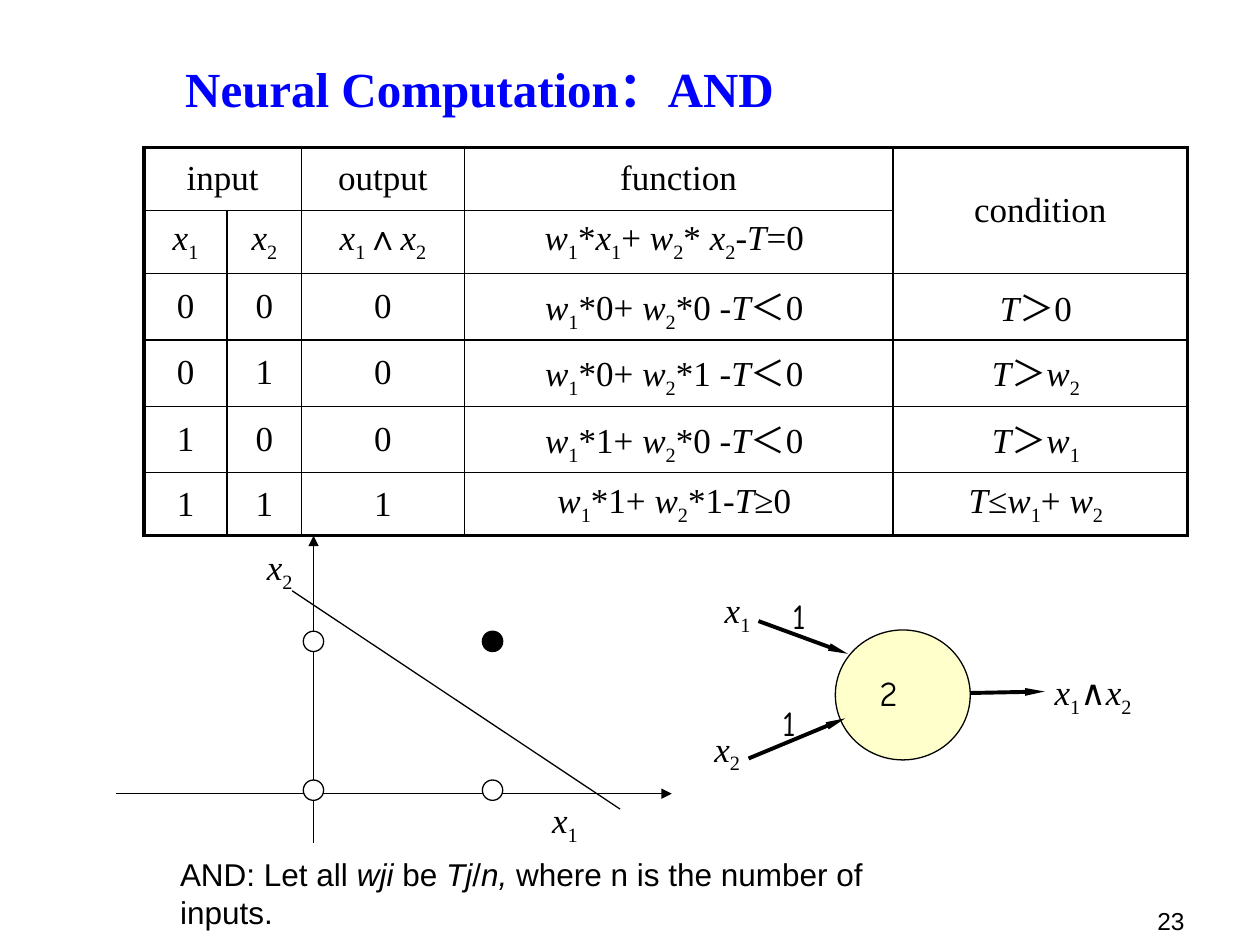
"""Build a slide on the AND function as a threshold neuron."""
import itertools

import pptx
import pptx.dml.color
import pptx.enum.shapes
import pptx.enum.text
import pptx.oxml
import pptx.oxml.ns
import pptx.oxml.xmlchemy
import pptx.util

Cm, Pt = pptx.util.Cm, pptx.util.Pt
ALIGN = pptx.enum.text.PP_ALIGN
MIDDLE = pptx.enum.text.MSO_ANCHOR.MIDDLE
OVAL = pptx.enum.shapes.MSO_SHAPE.OVAL
STRAIGHT = pptx.enum.shapes.MSO_CONNECTOR.STRAIGHT
SERIF, HAND, SANS = "Times New Roman", "Comic Neue", "Arial"
BLACK, WHITE, BLUE, CREAM = "000000", "FFFFFF", "0000FF", "FFFFCC"

TITLE = "Neural Computation：AND"
COLS = [1.68, 1.5, 3.28, 8.64, 5.94]
ROW = 1.27
HEADS = ["input", "", "output", "function", "condition"]
ROWS = [
    ["x1", "x2", "x1∧x2", "w1*x1+ w2* x2-T=0 ", ""],
    ["0", "0", "0", "w1*0+ w2*0 -T＜0 ", "T＞0 "],
    ["0", "1", "0", "w1*0+ w2*1 -T＜0 ", "T＞w2 "],
    ["1", "0", "0", "w1*1+ w2*0 -T＜0 ", "T＞w1 "],
    ["1", "1", "1", "w1*1+ w2*1-T≥0 ", "T≤w1+ w2 "],
]
SPLIT = (5.89, 11.91, 12.5, 16.31)
AXES = [(2.34, 16, 13.54, 16), (6.32, 16.99, 6.32, 10.8)]
DOT = 0.41
DOTS = [(9.93, 15.93, WHITE), (6.32, 15.93, WHITE),
        (6.32, 12.93, WHITE), (9.93, 12.93, BLACK)]
NEURON = (16.84, 12.7, 2.72, 2.62)
ARROWS = [(15.29, 12.52, 17.09, 13.18), (15.09, 15.29, 17.04, 14.48),
          (19.56, 13.97, 21.06, 13.94)]
NAMES = [("x1", 11.13, 16.1), ("x2", 5.38, 11),
         ("x1", 14.61, 11.86), ("x2", 14.4, 14.66)]
WEIGHTS = [("2", 17.48, 13.41), ("1", 15.72, 11.86), ("1", 15.52, 14.02)]
NOTE = [("AND: Let all ", ""), ("wji ", "italic"), ("be ", ""),
        ("Tj", "italic"), ("/", ""), ("n, ", "italic"),
        ("where n is the number of inputs.", "")]


def color(code):
    return pptx.dml.color.RGBColor.from_string(code)


def cut(text):
    """Split a formula into runs: letters italic, digits after letters low."""
    def kind(pair):
        last, char = pair
        if char.isalpha():
            return "italic"
        return "low" if char.isdigit() and last.isalpha() else ""

    pairs = zip(" " + text, text)
    return [("".join(char for _, char in group), key)
            for key, group in itertools.groupby(pairs, kind)]


def write(frame, runs, size=20, face=SERIF, tint=BLACK, bold=False, align=ALIGN.LEFT):
    para = frame.paragraphs[0]
    para.alignment = align
    for text, kind in runs:
        run = para.add_run()
        run.text = text
        if kind == "italic":
            run.font.italic = True
        elif kind == "low":
            run._r.get_or_add_rPr().set("baseline", "-25000")
    for part in (para, *para.runs):
        part.font.name, part.font.size, part.font.bold = face, Pt(size), bold
        part.font.color.rgb = color(tint)
    return para


def label(slide, box, runs, inset=True, wrap=True, **look):
    frame = slide.shapes.add_textbox(*map(Cm, box)).text_frame
    frame.word_wrap = wrap
    if not inset:
        frame.margin_left = frame.margin_right = 0
        frame.margin_top = frame.margin_bottom = 0
    return write(frame, runs, **look)


def oval(slide, box, fill):
    shape = slide.shapes.add_shape(OVAL, *map(Cm, box))
    shape.shadow.inherit = False
    shape.fill.solid()
    shape.fill.fore_color.rgb = color(fill)
    shape.line.color.rgb = color(BLACK)
    shape.line.width = Pt(0.75)


def line(slide, ends, width=0.75, head=None):
    link = slide.shapes.add_connector(STRAIGHT, *map(Cm, ends))
    link.line.color.rgb = color(BLACK)
    link.line.width = Pt(width)
    if head:
        tail = pptx.oxml.xmlchemy.OxmlElement("a:tailEnd")
        for key, value in zip(("type", "w", "len"), ("triangle", *head)):
            tail.set(key, value)
        link.line._get_or_add_ln().append(tail)
    link._element.spPr.append(pptx.oxml.xmlchemy.OxmlElement("a:effectLst"))


def border(cell, sides):
    for side, width in sides.items():
        cell._tc.get_or_add_tcPr().append(pptx.oxml.parse_xml(
            f'<a:ln{side} {pptx.oxml.ns.nsdecls("a")} w="{Pt(width)}"><a:solidFill>'
            f'<a:srgbClr val="{BLACK}"/></a:solidFill></a:ln{side}>'))


def grid(slide):
    rows = [[[(head, "")] for head in HEADS]]
    rows += [[cut(text) for text in row] for row in ROWS]
    tall, wide = len(rows), len(COLS)
    table = slide.shapes.add_table(tall, wide, Cm(2.9), Cm(2.97),
                                   Cm(sum(COLS)), Cm(ROW * tall)).table
    table.first_row = table.horz_banding = False
    for col, width in zip(table.columns, COLS):
        col.width = Cm(width)
    table.cell(0, 0).merge(table.cell(0, 1))
    table.cell(0, 4).merge(table.cell(1, 4))
    for r, c in itertools.product(range(tall), range(wide)):
        cell = table.cell(r, c)
        edges = {"L": c == 0, "R": c == wide - 1, "T": r == 0, "B": r == tall - 1}
        border(cell, {side: 2.25 if edge else 1 for side, edge in edges.items()})
        cell.fill.background()
        cell.vertical_anchor = MIDDLE
        if not cell.is_spanned:
            write(cell.text_frame, rows[r][c], align=ALIGN.CENTER)


def main():
    deck = pptx.Presentation()
    deck.slide_width, deck.slide_height = Cm(25.4), Cm(19.05)
    slide = deck.slides.add_slide(deck.slide_layouts[5])
    title = slide.shapes.title
    title.left, title.top, title.width, title.height = map(Cm, (3.48, 0.71, 16.03, 2.11))
    title.text_frame.vertical_anchor = MIDDLE
    write(title.text_frame, [(TITLE, "")], size=28, tint=BLUE, bold=True)
    grid(slide)

    line(slide, SPLIT)
    for ends in AXES:
        line(slide, ends, head=("med", "med"))
    for x, y, fill in DOTS:
        oval(slide, (x - DOT / 2, y - DOT / 2, DOT, DOT), fill)
    oval(slide, NEURON, CREAM)
    for ends in ARROWS:
        line(slide, ends, width=2.25, head=("sm", "lg"))

    for text, x, y in NAMES:
        label(slide, (x, y, 1.55, 0.89), cut(text), inset=False)
    for text, x, y in WEIGHTS:
        label(slide, (x, y, 1.7, 1.09), cut(text), face=HAND)
    result = label(slide, (21.01, 13.39, 3.12, 1.12), cut("x1∧x2"))
    result.runs[2].font.name = HAND
    label(slide, (3.38, 17.12, 16.31, 1.02), NOTE, wrap=False, size=18, face=SANS)
    label(slide, (15.09, 18.14, 9.04, 0.61), [("23", "")],
          size=14, face=SANS, align=ALIGN.RIGHT)
    deck.save("out.pptx")


if __name__ == "__main__":
    main()
